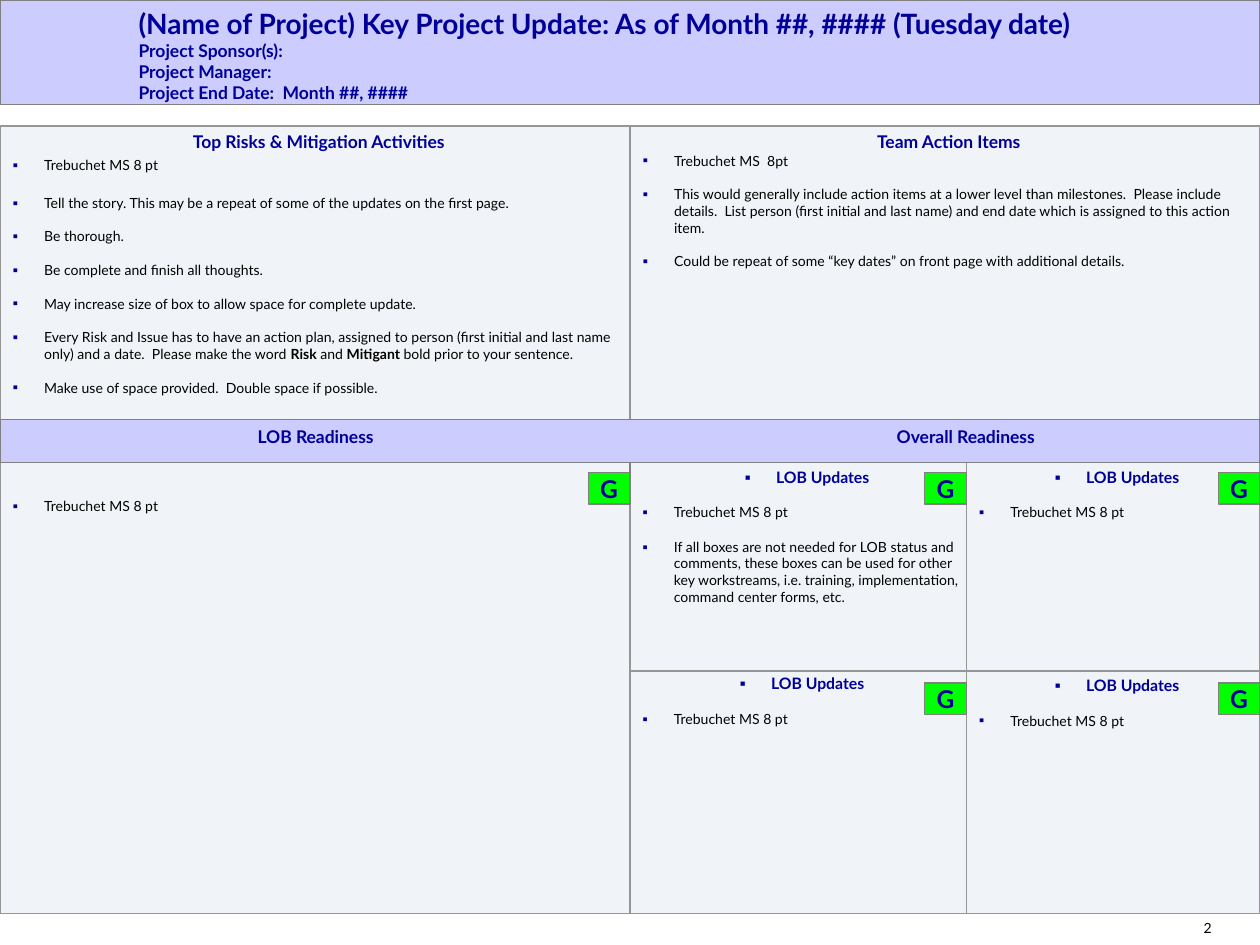
from lxml import etree
from pptx import Presentation
from pptx.dml.color import RGBColor
from pptx.enum.shapes import MSO_CONNECTOR, MSO_SHAPE
from pptx.enum.text import MSO_ANCHOR, MSO_AUTO_SIZE, PP_ALIGN
from pptx.oxml.ns import qn
from pptx.util import Inches, Pt

LEFT, CENTER = PP_ALIGN.LEFT, PP_ALIGN.CENTER
TOP, MIDDLE = MSO_ANCHOR.TOP, MSO_ANCHOR.MIDDLE
RECTANGLE = MSO_SHAPE.RECTANGLE

NAVY = RGBColor(0x00, 0x00, 0x99)
BLACK = RGBColor(0x00, 0x00, 0x00)
LAVENDER = RGBColor(0xCC, 0xCC, 0xFF)
PALE = RGBColor(0xF0, 0xF4, 0xF8)
GREEN = RGBColor(0x00, 0xFF, 0x00)
GRAY = RGBColor(0x80, 0x80, 0x80)
LIGHT_GRAY = RGBColor(0x96, 0x96, 0x96)
FONT = "Lato"

# Content
HEADER = [
    ("(Name of Project) Key Project Update: As of Month ##, #### (Tuesday date)", 16),
    ("Project Sponsor(s):", 10),
    ("Project Manager:", 10),
    ("Project End Date:  Month ##, ####", 10),
]
SAMPLE = "Trebuchet MS 8 pt"
RISKS = [
    SAMPLE,
    "Tell the story. This may be a repeat of some of the updates on the first page.",
    "Be thorough.",
    "Be complete and finish all thoughts.",
    "May increase size of box to allow space for complete update.",
    [("Every Risk and Issue has to have an action plan, assigned to person (first "
      "initial and last name only) and a date.  Please make the word ", False),
     ("Risk ", True), ("and ", False), ("Mitigant ", True),
     ("bold prior to your sentence.", False)],
    "Make use of space provided.  Double space if possible.",
]
ACTIONS = [
    "Trebuchet MS  8pt",
    "This would generally include action items at a lower level than milestones.  "
    "Please include details.  List person (first initial and last name) and end date "
    "which is assigned to this action item.",
    "Could be repeat of some “key dates” on front page with additional details.",
]
UPDATES = [
    SAMPLE,
    "If all boxes are not needed for LOB status and comments, these boxes can be used "
    "for other key workstreams, i.e. training, implementation, command center forms, etc.",
]

# Grid, in inches
MIDDLE_X, RIGHT_X, SLIDE_W = 5, 7.67, 10
TOP_Y, BANNER_Y, UPPER_Y, LOWER_Y, BOTTOM_Y = 1, 3.33, 3.67, 5.33, 7.25
TOP_H, UPPER_H, LOWER_H = UPPER_Y - TOP_Y, 1.65, BOTTOM_Y - LOWER_Y
BADGE_W, BADGE_H = 0.33, 0.25

# Box, heading, items, space before each item (the last value repeats)
TOP_PANELS = [
    ((0, TOP_Y, 5, TOP_H), "Top Risks & Mitigation Activities", RISKS, (2.5, 12.1, 9.6)),
    ((MIDDLE_X, TOP_Y, 5, TOP_H), "Team Action Items", ACTIONS, (0, 9.6)),
]
READINESS_BOX = (0, UPPER_Y, 5, BOTTOM_Y - UPPER_Y)
# Box, items, heading line spacing
LOB_PANELS = [
    ((MIDDLE_X, UPPER_Y, 2.75, UPPER_H), UPDATES, 1),
    ((RIGHT_X, UPPER_Y, 2.33, UPPER_H), [SAMPLE], 1),
    ((MIDDLE_X, LOWER_Y, 2.67, LOWER_H), [SAMPLE], 0.85),
    ((RIGHT_X, LOWER_Y, 2.33, LOWER_H), [SAMPLE], 0.95),
]
BANNER_TITLES = [("LOB Readiness", 0.67), ("Overall Readiness", 5.83)]
BADGES = [(5, 3.75), (RIGHT_X, 3.75), (SLIDE_W, 3.75), (RIGHT_X, 5.42), (SLIDE_W, 5.42)]


def place(shape, box):
    shape.left, shape.top, shape.width, shape.height = (Inches(value) for value in box)


def style_box(shape, fill, line, width=0.75):
    shape.fill.solid()
    shape.fill.fore_color.rgb = fill
    shape.line.color.rgb = line
    shape.line.width = Pt(width)


def add_box(slide, box, fill, line):
    shape = slide.shapes.add_shape(RECTANGLE, *(Inches(value) for value in box))
    shape.shadow.inherit = False
    style_box(shape, fill, line)
    return shape


def set_frame(shape, margins, anchor=TOP, wrap=True):
    frame = shape.text_frame
    frame.auto_size = MSO_AUTO_SIZE.NONE
    frame.word_wrap = wrap
    frame.vertical_anchor = anchor
    (frame.margin_left, frame.margin_top,
     frame.margin_right, frame.margin_bottom) = (Inches(value) for value in margins)
    return frame


def add_text(frame, text, size=8, color=BLACK, bold=False, align=LEFT,
             before=0, line_spacing=1, bullet=False, hanging=False):
    """Append a paragraph; text is a string or a list of (text, bold) pairs."""
    paragraph = frame.paragraphs[0]
    if paragraph.runs:
        paragraph = frame.add_paragraph()
    paragraph.alignment = align
    paragraph.space_before, paragraph.space_after = Pt(before), Pt(0)
    paragraph.line_spacing = line_spacing
    for part, part_bold in [(text, bold)] if isinstance(text, str) else text:
        run = paragraph.add_run()
        run.text = part
        run.font.name, run.font.size, run.font.bold = FONT, Pt(size), part_bold
        run.font.color.rgb = color
    properties = paragraph._p.get_or_add_pPr()
    indent = Inches(0.25) if hanging or bullet else 0
    properties.set("marL", str(indent))
    properties.set("indent", str(-indent))
    if bullet:
        bullet_color = etree.SubElement(properties, qn("a:buClr"))
        etree.SubElement(bullet_color, qn("a:srgbClr")).set("val", str(NAVY))
        etree.SubElement(properties, qn("a:buFont")).set("typeface", FONT)
        etree.SubElement(properties, qn("a:buChar")).set("char", "▪")
    else:
        etree.SubElement(properties, qn("a:buNone"))


def add_items(frame, items, gaps):
    for index, item in enumerate(items):
        add_text(frame, item, bullet=True, before=gaps[min(index, len(gaps) - 1)])


def main():
    presentation = Presentation()
    presentation.slide_width, presentation.slide_height = Inches(SLIDE_W), Inches(7.5)
    slide = presentation.slides.add_slide(presentation.slide_layouts[4])
    title, *bodies = slide.placeholders

    # Header
    place(title, (0, 0, SLIDE_W, 0.83))
    style_box(title, LAVENDER, GRAY)
    frame = set_frame(title, (1.1, 0.05, 0.1, 0))
    for text, size in HEADER:
        add_text(frame, text, size=size, color=NAVY, bold=True)

    # Risks and action items
    for body, (box, heading, items, gaps) in zip(bodies, TOP_PANELS):
        place(body, box)
        style_box(body, PALE, LIGHT_GRAY, 1.25)
        frame = set_frame(body, (0.1, 0.04, 0.04, 0.04))
        add_text(frame, heading, size=10, color=NAVY, bold=True, align=CENTER, hanging=True)
        add_items(frame, items, gaps)

    # LOB readiness
    readiness, spare = bodies[2:]
    place(readiness, READINESS_BOX)
    style_box(readiness, PALE, LIGHT_GRAY)
    add_items(set_frame(readiness, (0.1, 0.28, 0.04, 0.04)), [SAMPLE], (0,))
    spare.element.getparent().remove(spare.element)

    # LOB updates
    for box, items, spacing in LOB_PANELS:
        panel = add_box(slide, box, PALE, LIGHT_GRAY)
        frame = set_frame(panel, (0.1, 0.04, 0.04, 0.04))
        add_text(frame, "LOB Updates", size=9, color=NAVY, bold=True, align=CENTER,
                 line_spacing=spacing, bullet=True)
        add_items(frame, items, (10,))

    # Divider below the banner
    divider = slide.shapes.add_connector(
        MSO_CONNECTOR.STRAIGHT, Inches(MIDDLE_X), Inches(UPPER_Y), Inches(MIDDLE_X), Inches(3.83))
    divider.line.color.rgb = GRAY
    divider.line.width = Pt(0.75)
    etree.SubElement(divider.element.spPr, qn("a:effectLst"))

    # Readiness banner and page number
    add_box(slide, (0, BANNER_Y, SLIDE_W, UPPER_Y - BANNER_Y), LAVENDER, GRAY)
    labels = [(text, (left, BANNER_Y, 3.67, 0.27), 10, NAVY, True)
              for text, left in BANNER_TITLES]
    labels.append(("2", (9.17, BOTTOM_Y, 0.83, 0.25), 8, BLACK, False))
    for text, box, size, color, bold in labels:
        label = slide.shapes.add_textbox(*(Inches(value) for value in box))
        frame = set_frame(label, (0.1, 0.05, 0.1, 0.05))
        add_text(frame, text, size=size, color=color, bold=bold, align=CENTER)

    # Status badges
    for right, top in BADGES:
        badge = add_box(slide, (right - BADGE_W, top, BADGE_W, BADGE_H), GREEN, GRAY)
        frame = set_frame(badge, (0.1, 0.05, 0.1, 0.05), anchor=MIDDLE, wrap=False)
        add_text(frame, "G", size=14, color=NAVY, bold=True, align=CENTER)

    presentation.save("out.pptx")


if __name__ == "__main__":
    main()
